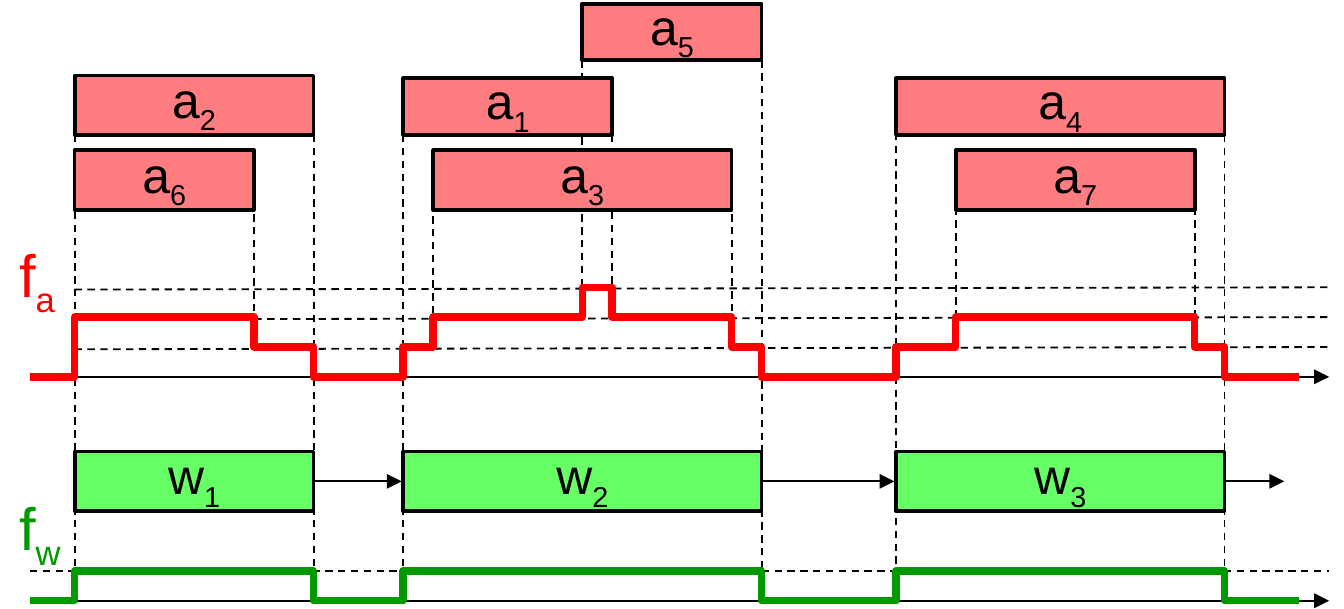
from lxml import etree
from pptx import Presentation
from pptx import util as u
from pptx.dml.color import RGBColor
from pptx.enum import dml, shapes, text
from pptx.oxml import ns

SCALE = 3810
COLOURS = {
    "ink": "000000",
    "activity": "FF7C80",
    "activity_signal": "FF0000",
    "window": "66FF66",
    "window_signal": "009900",
}
START, SIGNAL_END, AXIS_END = 40, 1740, 1780
FIRST_EDGE = 100
STEP = 40
ACTIVITY_BASE, WINDOW_BASE = 505, 805
WINDOW_TOP, BOX_HEIGHT, SHORT_HEIGHT = 605, 80, 76
ACTIVITIES = [
    ("1", 540, 820, 105, SHORT_HEIGHT),
    ("3", 580, 980, 201, BOX_HEIGHT),
    ("5", 780, 1020, 5, SHORT_HEIGHT),
    ("6", 100, 340, 201, BOX_HEIGHT),
    ("2", 100, 420, 101, BOX_HEIGHT),
    ("7", 1280, 1600, 201, BOX_HEIGHT),
    ("4", 1200, 1640, 105, SHORT_HEIGHT),
]
WINDOWS = [("1", 100, 420), ("2", 540, 1020), ("3", 1200, 1640)]
GUIDES = [
    (100, 181, 805), (340, 201, 425), (420, 181, 805), (540, 181, 805),
    (580, 221, 425), (820, 181, 385), (780, 81, 385), (980, 201, 425),
    (1020, 81, 805), (1200, 161, 805), (1280, 261, 425), (1600, 261, 425),
    (1640, 181, 805),
]
GAP_ARROWS = [(422, 538), (1022, 1198), (1640, 1720)]


def px(length):
    return u.Emu(length * SCALE)


def colour(name):
    return RGBColor.from_string(COLOURS[name])


def add_line(page, start, end, dashed=False, arrow=False):
    line = page.shapes.add_connector(
        shapes.MSO_CONNECTOR.STRAIGHT, *map(px, start + end))
    line.line.color.rgb = colour("ink")
    line.line.width = u.Pt(0.75)
    if dashed:
        line.line.dash_style = dml.MSO_LINE.DASH
    if arrow:
        outline = line.line._get_or_add_ln()
        etree.SubElement(outline, ns.qn("a:tailEnd"), type="triangle")
    etree.SubElement(line._element.spPr, ns.qn("a:effectLst"))


def write_symbol(frame, letter, index, size, shade):
    frame.word_wrap = False
    frame.text = letter
    para = frame.paragraphs[0]
    subscript = para.add_run()
    subscript.text = index
    subscript._r.get_or_add_rPr().set("baseline", "-25000")
    for span in para.runs:
        span.font.name = "Arial"
        span.font.size = u.Pt(size)
        span.font.color.rgb = colour(shade)
    return para


def add_bar(page, letter, index, left, right, top, height, shade):
    box = page.shapes.add_shape(
        shapes.MSO_SHAPE.RECTANGLE,
        px(left), px(top), px(right - left), px(height))
    box.shadow.inherit = False
    box.fill.solid()
    box.fill.fore_color.rgb = colour(shade)
    box.line.color.rgb = colour("ink")
    box.line.width = u.Pt(1.5)
    box.text_frame.vertical_anchor = text.MSO_ANCHOR.MIDDLE
    para = write_symbol(box.text_frame, letter, index, 20, "ink")
    para.alignment = text.PP_ALIGN.CENTER
    para.line_spacing = 0.65


def add_signal(page, intervals, base, shade):
    points = []
    level = base
    for edge in sorted({edge for interval in intervals for edge in interval}):
        active = sum(left <= edge < right for left, right in intervals)
        points.append((edge, level))
        level = base - STEP * active
        points.append((edge, level))
    points.append((SIGNAL_END, base))
    builder = page.shapes.build_freeform(START, base, scale=SCALE)
    builder.add_line_segments(points, close=False)
    signal = builder.convert_to_shape()
    signal.shadow.inherit = False
    signal.fill.background()
    signal.line.color.rgb = colour(shade)
    signal.line.width = u.Pt(3)
    etree.SubElement(signal.line._get_or_add_ln(), ns.qn("a:round"))


def add_signal_name(page, index, top, width, shade):
    box = page.shapes.add_textbox(px(2), px(top), px(width), px(134))
    write_symbol(box.text_frame, "f", index, 24, shade)


def main():
    deck = Presentation()
    deck.slide_width, deck.slide_height = px(1800), px(816)
    page = deck.slides.add_slide(deck.slide_layouts[6])

    for x, top, bottom in GUIDES:
        add_line(page, (x, top), (x, bottom), dashed=True)
    for level in (1, 2, 3):
        y = ACTIVITY_BASE - STEP * level
        add_line(page, (FIRST_EDGE, y + 3), (AXIS_END, y), dashed=True)
    window_level = WINDOW_BASE - STEP
    add_line(page, (START, window_level), (AXIS_END, window_level), dashed=True)
    for base in (ACTIVITY_BASE, WINDOW_BASE):
        add_line(page, (START, base), (AXIS_END, base), arrow=True)

    for index, left, right, top, height in ACTIVITIES:
        add_bar(page, "a", index, left, right, top, height, "activity")
    for index, left, right in WINDOWS:
        add_bar(page, "w", index, left, right, WINDOW_TOP, BOX_HEIGHT, "window")
    middle = WINDOW_TOP + BOX_HEIGHT // 2
    for left, right in GAP_ARROWS:
        add_line(page, (left, middle), (right, middle), arrow=True)

    add_signal(page, [activity[1:3] for activity in ACTIVITIES],
               ACTIVITY_BASE, "activity_signal")
    add_signal(page, [window[1:] for window in WINDOWS],
               WINDOW_BASE, "window_signal")
    add_signal_name(page, "a", 307, 96, "activity_signal")
    add_signal_name(page, "w", 646, 103, "window_signal")
    deck.save("out.pptx")


if __name__ == "__main__":
    main()
